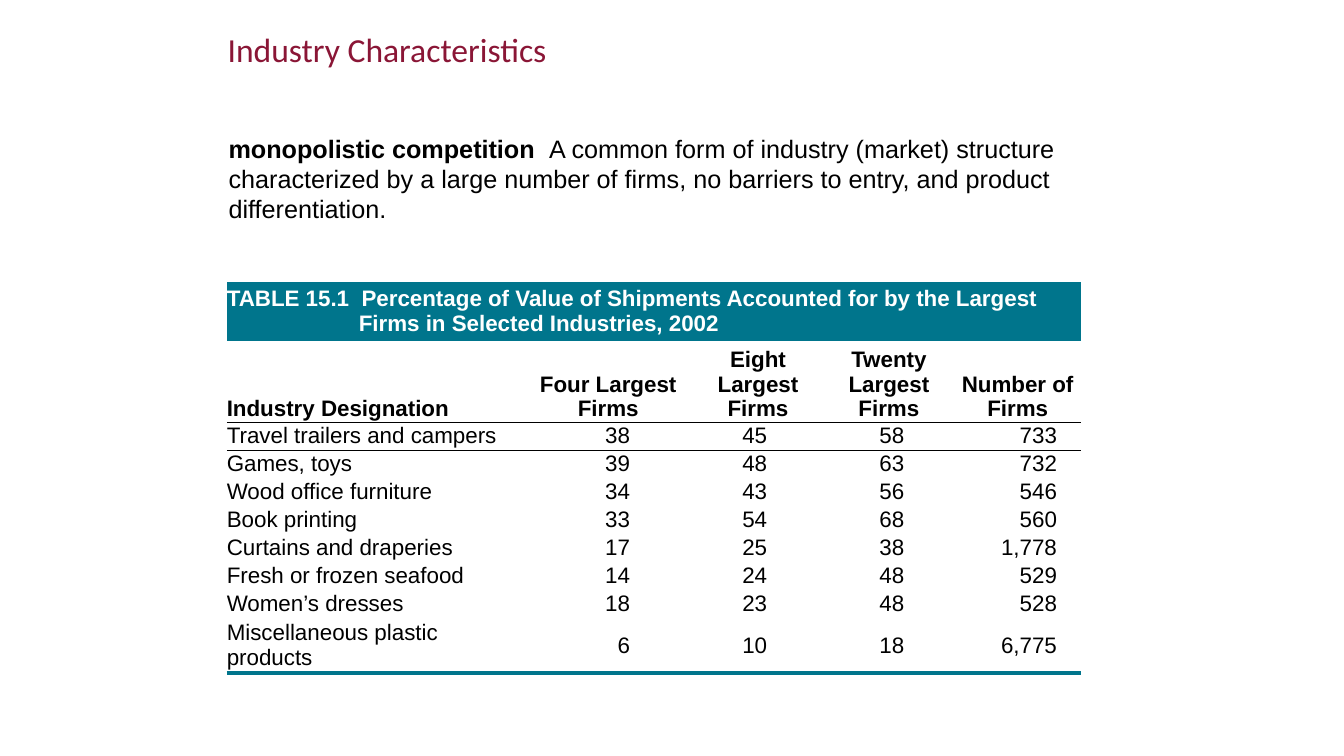
from typing import NamedTuple

from lxml.etree import SubElement
from pptx import Presentation
from pptx.dml.color import RGBColor
from pptx.enum.text import MSO_ANCHOR, PP_ALIGN
from pptx.oxml import parse_xml
from pptx.oxml.ns import nsdecls, qn
from pptx.util import Pt

TEAL, BLACK, WHITE, WINE = "00758C", "000000", "FFFFFF", "8A1636"
WIDTHS = [212, 76, 45, 53, 40, 58, 36, 73, 17]
HEIGHTS = [42, 58] + [20] * 7 + [39]
PLAIN = "{2D5ABB26-0587-4C30-8999-92F81FD0307C}"
HEADS = ["Four Largest\nFirms", "Eight Largest Firms",
         "Twenty Largest Firms", "Number of\nFirms"]


class Trade(NamedTuple):
    name: str
    four: str
    eight: str
    twenty: str
    firms: str


TRADES = [
    Trade("Travel trailers and campers", "38", "45", "58", "733"),
    Trade("Games, toys", "39", "48", "63", "732"),
    Trade("Wood office furniture", "34", "43", "56", "546"),
    Trade("Book printing", "33", "54", "68", "560"),
    Trade("Curtains and draperies", "17", "25", "38", "1,778"),
    Trade("Fresh or frozen seafood", "14", "24", "48", "529"),
    Trade("Women’s dresses", "18", "23", "48", "528"),
    Trade("Miscellaneous plastic products", "6", "10", "18", "6,775"),
]


def color(code: str) -> RGBColor:
    return RGBColor.from_string(code)


def write(para, text: str, *, size: float = 16, font: str = "Arial",
          ink: str = BLACK, bold: bool = False, align=PP_ALIGN.LEFT) -> None:
    para.alignment = align
    for i, line in enumerate(text.split("\n")):
        if i:
            para.add_line_break()
        run = para.add_run()
        run.text = line
        run.font.size, run.font.name, run.font.bold = Pt(size), font, bold
        run.font.color.rgb = color(ink)


def add_box(slide, left: float, top: float, width: float, height: float):
    frame = slide.shapes.add_textbox(Pt(left), Pt(top), Pt(width), Pt(height)).text_frame
    frame.word_wrap = True
    return frame.paragraphs[0]


def rule(cell, side: str, ink: str, weight: float) -> None:
    # Borders come before the fill in the cell properties
    cell._tc.get_or_add_tcPr().insert(0, parse_xml(
        f'<a:{side} {nsdecls("a")} w="{Pt(weight)}"><a:solidFill>'
        f'<a:srgbClr val="{ink}"/></a:solidFill></a:{side}>'))


def add_grid(slide, left: float, top: float):
    frame = slide.shapes.add_table(len(HEIGHTS), len(WIDTHS), Pt(left), Pt(top),
                                   Pt(sum(WIDTHS)), Pt(sum(HEIGHTS)))
    grid = frame.table
    grid.first_row = grid.horz_banding = False
    grid._tbl.tblPr.find(qn("a:tableStyleId")).text = PLAIN
    for col, width in zip(grid.columns, WIDTHS):
        col.width = Pt(width)
    for row, height in zip(grid.rows, HEIGHTS):
        row.height = Pt(height)
    for cell in grid.iter_cells():
        cell.margin_left = cell.margin_right = cell.margin_top = 0
        cell.margin_bottom = Pt(0.7)
        cell.vertical_anchor = MSO_ANCHOR.MIDDLE
        cell.fill.background()
    return grid


def fill_grid(grid) -> None:
    # Caption band
    band = grid.cell(0, 0)
    band.merge(grid.cell(0, len(WIDTHS) - 1))
    band.fill.solid()
    band.fill.fore_color.rgb = color(TEAL)
    para = band.text_frame.paragraphs[0]
    write(para, "TABLE 15.1  Percentage of Value of Shipments Accounted for "
          "by the Largest Firms in Selected Industries, 2002", ink=WHITE, bold=True)
    props = para._p.get_or_add_pPr()
    props.set("marL", str(Pt(94.3)))
    props.set("indent", str(-Pt(94.3)))

    # Column heads
    write(grid.cell(1, 0).text_frame.paragraphs[0], "Industry Designation", bold=True)
    for i, head in enumerate(HEADS):
        cell = grid.cell(1, 2 * i + 1)
        cell.merge(grid.cell(1, 2 * i + 2))
        write(cell.text_frame.paragraphs[0], head, bold=True, align=PP_ALIGN.CENTER)

    # Industries: each figure is followed by an empty spacer column
    for r, trade in enumerate(TRADES, 2):
        for i, text in enumerate(trade):
            write(grid.cell(r, max(0, 2 * i - 1)).text_frame.paragraphs[0], text,
                  align=PP_ALIGN.RIGHT if i else PP_ALIGN.LEFT)
        for c in range(2, len(WIDTHS), 2):
            blank = grid.cell(r, c).text_frame.paragraphs[0]
            SubElement(blank._p, qn("a:endParaRPr"), sz="1600")

    # Rules
    for c in range(len(WIDTHS)):
        grid.cell(1, c).vertical_anchor = MSO_ANCHOR.BOTTOM
        rule(grid.cell(1, c), "lnB", BLACK, 1)
        rule(grid.cell(2, c), "lnT", BLACK, 1)
        rule(grid.cell(len(HEIGHTS) - 1, c), "lnB", TEAL, 3)


def main() -> None:
    deck = Presentation()
    deck.slide_width, deck.slide_height = Pt(960), Pt(540)
    slide = deck.slides.add_slide(deck.slide_layouts[6])

    # Definition
    term = add_box(slide, 156.2, 91.4, 648, 72)
    write(term, "monopolistic competition  ", size=18, bold=True)
    write(term, "A common form of industry (market) structure characterized by a "
          "large number of firms, no barriers to entry, and product "
          "differentiation.", size=18)

    # Table
    fill_grid(add_grid(slide, 162, 201.6))

    # Title
    write(add_box(slide, 155.5, 17.3, 660, 36), "Industry Characteristics",
          size=24, font="Calibri", ink=WINE)
    deck.save("out.pptx")


if __name__ == "__main__":
    main()
